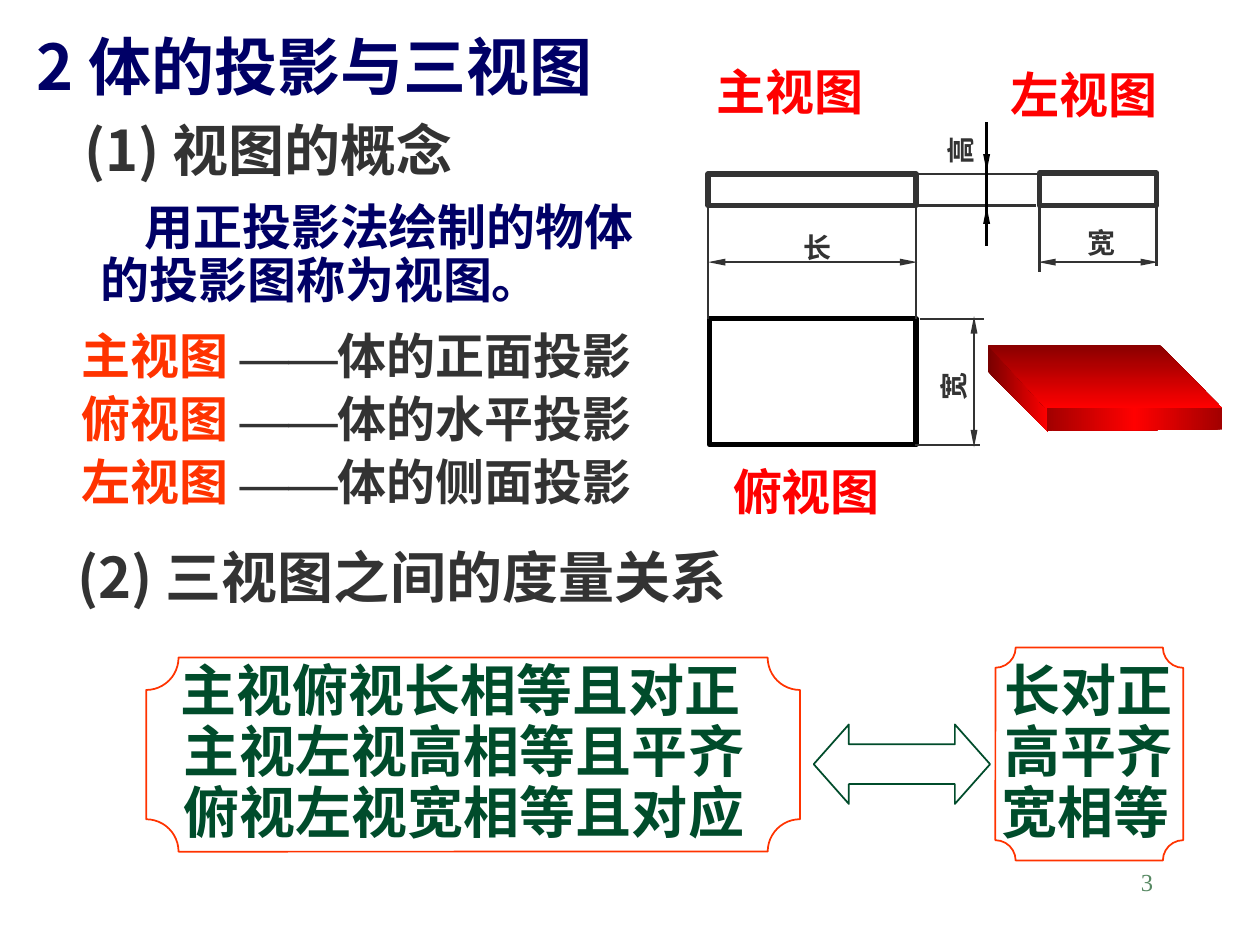
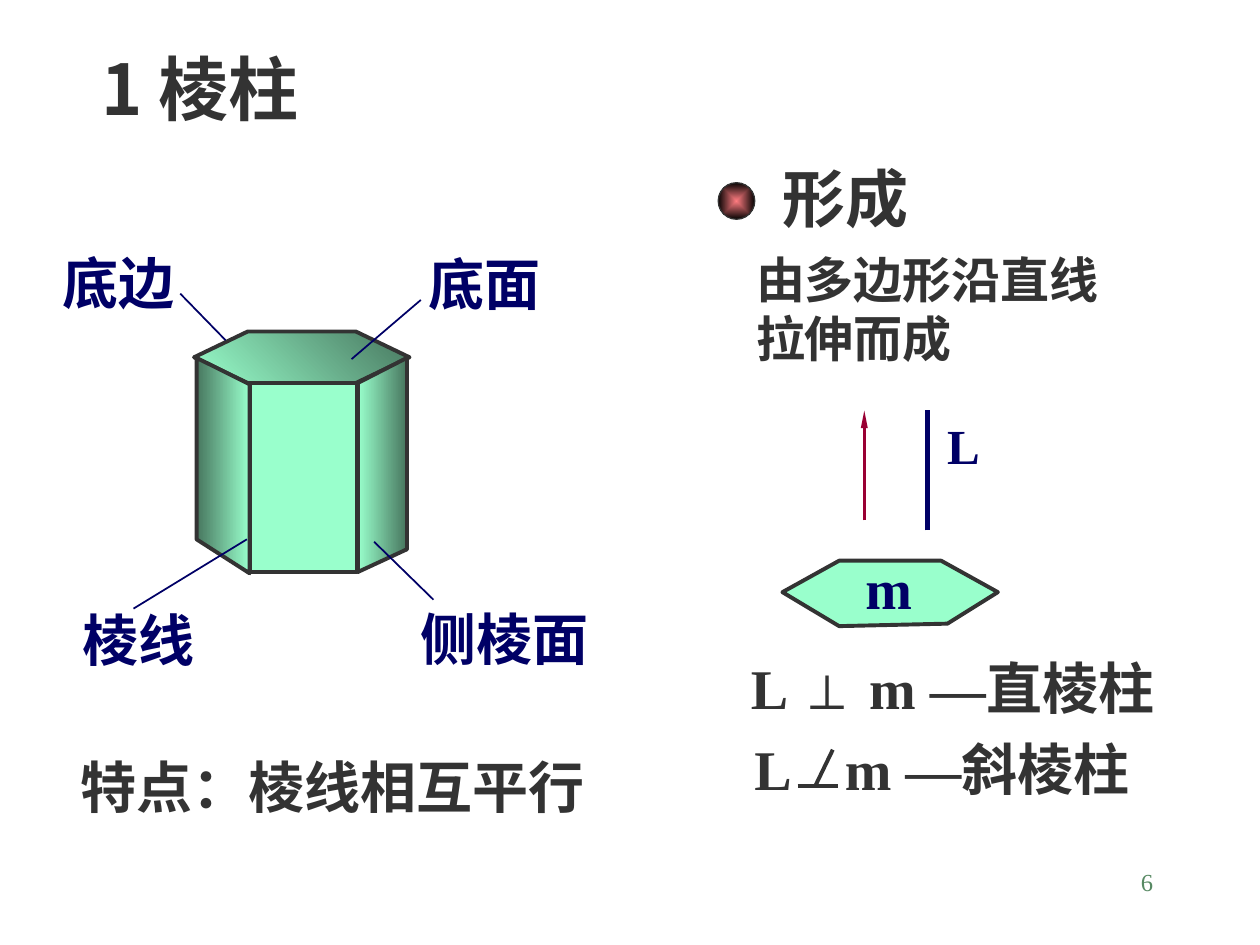
from lxml import etree
from pptx import Presentation
from pptx.dml.color import RGBColor
from pptx.enum.shapes import MSO_CONNECTOR, MSO_SHAPE
from pptx.enum.text import MSO_ANCHOR, MSO_AUTO_SIZE, PP_ALIGN
from pptx.oxml.ns import qn
from pptx.util import Pt

NAVY = RGBColor(0x00, 0x00, 0x66)
GRAY = RGBColor(0x33, 0x33, 0x33)
BLACK = RGBColor(0x00, 0x00, 0x00)
ORANGE = RGBColor(0xFF, 0x33, 0x00)
RED = RGBColor(0xFF, 0x00, 0x00)
GREEN = RGBColor(0x00, 0x4C, 0x2B)
MINT = RGBColor(0x99, 0xFF, 0xCC)
DARK_MINT = RGBColor(0x47, 0x76, 0x5E)
CRIMSON = RGBColor(0x99, 0x00, 0x33)
PAGE_GREEN = RGBColor(0x57, 0x89, 0x63)
PLATE_SIDE = RGBColor(0x78, 0x00, 0x00)
PLATE_FRONT = RGBColor(0xA2, 0x00, 0x00)
PLATE_TOP = RGBColor(0x8A, 0x00, 0x00)
BALL_CENTRE = RGBColor(0xFF, 0x7C, 0x80)
BALL_EDGE = RGBColor(0x06, 0x03, 0x03)

SANS, SERIF = "Noto Sans CJK SC", "Times New Roman"
RECT, PLAQUE = MSO_SHAPE.RECTANGLE, MSO_SHAPE.PLAQUE
DOUBLE_ARROW = MSO_SHAPE.LEFT_RIGHT_ARROW
HEXAGON, OVAL = MSO_SHAPE.HEXAGON, MSO_SHAPE.OVAL
STRAIGHT = MSO_CONNECTOR.STRAIGHT
TOP, MIDDLE = MSO_ANCHOR.TOP, MSO_ANCHOR.MIDDLE
LEFT, RIGHT = PP_ALIGN.LEFT, PP_ALIGN.RIGHT
NO_AUTOFIT = MSO_AUTO_SIZE.NONE
HEAD, TAIL = "headEnd", "tailEnd"
SLIM_ARROWHEAD = {"type": "triangle", "w": "sm", "len": "lg"}

# Rows of repeated text on the first slide
VIEWS = [("主视图", "体的正面投影"), ("俯视图", "体的水平投影"), ("左视图", "体的侧面投影")]
RULES = [
    ("主视俯视长相等且对正", 96, "长对正", 567),
    ("主视左视高相等且平齐", 98, "高平齐", 567),
    ("俯视左视宽相等且对应", 98, "宽相等", 565),
]
RULE_TOP, RULE_STEP = 371, 35

# Texts: text, left, top, width, size, colour, font, options
VIEW_TEXTS = [
    ("(1) 视图的概念", 41, 62.6, 277, 32, GRAY, SANS, {}),
    ("用正投影法绘制的物体的投影图称为视图。", 50.4, 112.3, 340.6, 28, NAVY, SANS,
     {"height": 67.7, "anchor": MIDDLE, "line_spacing": 0.9, "indent": 25}),
    ("(2) 三视图之间的度量关系", 37.4, 306.7, 438, 32, GRAY, SANS, {}),
    ("主视图", 402.5, 31.7, 120, 28, RED, SERIF, {}),
    ("俯视图", 411.8, 260, 110, 28, RED, SERIF, {}),
    ("左视图", 570.2, 33.1, 114, 28, RED, SERIF, {}),
    ("长", 452.2, 128.2, 45, 16, GRAY, SERIF, {}),
    ("宽", 614.2, 125.3, 45, 16, GRAY, SERIF, {}),
    ("宽", 519.1, 196.6, 51.8, 16, GRAY, SERIF, {"rotation": 270}),
    ("高", 526.3, 65.5, 44.6, 16, GRAY, SERIF, {"rotation": 270}),
]
for row, (relation, relation_left, summary, summary_left) in enumerate(RULES):
    rule_top = RULE_TOP + row * RULE_STEP
    VIEW_TEXTS += [
        (relation, relation_left, rule_top, 355, 32, GREEN, SERIF, {}),
        (summary, summary_left, rule_top, 122, 32, GREEN, SERIF, {}),
    ]

# The drawn angle sign stands between the last two texts
PRISM_TEXTS = [
    ("侧棱面", 233.3, 342, 140, 32, NAVY, SERIF, {}),
    ("底面", 237.6, 139, 86.4, 32, NAVY, SERIF, {}),
    ("棱线", 40.3, 342.7, 105, 32, NAVY, SERIF, {}),
    ("底边", 28.8, 138.2, 86.4, 32, NAVY, SERIF, {}),
    ("特点：棱线相互平行", 38.9, 426.2, 335.5, 32, GRAY, SERIF, {}),
    ("形成", 440, 87.8, 143, 36, GRAY, SERIF, {}),
    ("L", 534.2, 234, 45, 28, NAVY, SERIF, {}),
    ("m", 487.4, 312.5, 60, 32, NAVY, SERIF, {}),
    ("L ⊥ m —直棱柱", 422, 370, 276.5, 32, GRAY, SERIF, {}),
    ("L", 424, 416.2, 45, 32, GRAY, SERIF, {}),
    ("m —斜棱柱", 475.7, 416.2, 216, 32, GRAY, SERIF, {}),
]

# Presets: kind, (left, top, width, height), fill, line colour, line width, adjustments
# A gradient fill is (colours, angle); the angle None means from the centre.
VIEW_PRESETS = [
    (RECT, (404.6, 99.4, 118.8, 18), None, GRAY, 3, []),
    (RECT, (594, 98.9, 67, 18.5), None, GRAY, 3, []),
    (RECT, (405.4, 182.2, 118, 72), None, BLACK, 3, []),
    (PLAQUE, (83.5, 375.8, 373.7, 110.9), None, ORANGE, 1, [0.167]),
    (PLAQUE, (568.8, 370, 107.3, 121.7), None, ORANGE, 1, [0.108]),
    (DOUBLE_ARROW, (465, 414, 100.8, 45.4), None, GREEN, 1, [0.5, 0.443]),
]
PRISM_PRESETS = [
    (HEXAGON, (110.9, 189.4, 123.1, 29.5), ([MINT, DARK_MINT], 315), GRAY, 2.25, [1.041]),
    (RECT, (142.6, 218.9, 61.2, 108), MINT, GRAY, 2.25, []),
    (OVAL, (410.4, 104.4, 20.9, 20.9), ([BALL_CENTRE, BALL_EDGE], None), GRAY, 0.75, []),
]

# Polygons: corners, fill, line colour, line width
VIEW_POLYGONS = [
    ([(564.5, 197.3), (564.5, 212.4), (599, 247), (599, 231.1)],
     ([PLATE_SIDE, RED], 0), None, 0),
    ([(598.3, 231.8), (698.4, 232.6), (698.4, 245.5), (598.3, 246.2)],
     ([PLATE_FRONT, RED, PLATE_FRONT], 0), None, 0),
    ([(564.5, 197.3), (663.1, 197.3), (698.4, 233.3), (597.6, 233.3)],
     ([PLATE_TOP, RED], 90), None, 0),
]
PRISM_POLYGONS = [
    ([(204.5, 218.9), (204.5, 326.9), (232.6, 313.9), (232.6, 204.5)],
     ([MINT, DARK_MINT], 0), GRAY, 2.25),
    ([(112.3, 204.5), (142.6, 219.6), (142.6, 327.6), (112.3, 308.2)],
     ([DARK_MINT, MINT], 0), GRAY, 2.25),
    ([(479.5, 320.4), (537.8, 320.4), (570.2, 338.4), (541.4, 356.4),
      (479.5, 357.8), (447.1, 338.4)], MINT, GRAY, 2.25),
]

# Lines: colour, width, arrowheads, [(x1, y1, x2, y2), ...]
VIEW_LINES = [
    (GRAY, 1.5, [], [
        (404.6, 118, 404.6, 182.2), (523.4, 115, 523.4, 182.2),
        (525.6, 182.2, 562.3, 182.2), (522.7, 254.2, 560.2, 254.2),
        (594, 116.6, 594, 155.5), (661, 116, 661, 152),
        (520, 117.4, 591.8, 117.4), (522.7, 99.4, 592.6, 99.4)]),
    (GRAY, 1.5, [HEAD, TAIL], [
        (404.6, 149.8, 524.2, 149.8), (556.6, 180.7, 556.6, 255.6),
        (593.3, 149.8, 661.7, 149.8)]),
    (BLACK, 1.5, [], [(563.8, 69.8, 563.8, 140.4)]),
    (BLACK, 1.5, [TAIL], [(563.8, 127.4, 563.8, 118), (563.8, 86.4, 563.8, 98)]),
]
PRISM_LINES = [
    (CRIMSON, 1.5, [TAIL], [(493.9, 297.4, 493.9, 234.7)]),
    (NAVY, 3, [], [(529.9, 303.1, 529.9, 234)]),
    (GRAY, 2.25, [], [(475.9, 428.4, 465.8, 449.3), (455.8, 449.3, 478.8, 449.3)]),
    (NAVY, 1, [], [
        (240.5, 171.4, 200.9, 205.2), (247.7, 342.7, 213.8, 309.6),
        (141.1, 308.2, 76.3, 347.8), (103, 167.8, 128.9, 194.4)]),
]

SLIDES = [
    {"title": ("2 体的投影与三视图", 13.7, 12.2, 404, 36, NAVY),
     "body": [[(name + " ", ORANGE, SANS), ("——", GRAY, SERIF), (meaning, GRAY, SANS)]
              for name, meaning in VIEWS],
     "body_box": (39.6, 182.4, 355.7, 120), "body_gap": 2.5, "page": "3",
     "presets": VIEW_PRESETS, "polygons": VIEW_POLYGONS,
     "lines": VIEW_LINES, "texts": VIEW_TEXTS},
    {"title": ("1 棱柱", 51, 22.3, 173.5, 40, GRAY),
     "body": [[(line, GRAY, SERIF)] for line in ("由多边形沿直线", "拉伸而成")],
     "body_box": (424.8, 139, 239, 74.2), "body_gap": 0, "page": "6",
     "presets": PRISM_PRESETS, "polygons": PRISM_POLYGONS,
     "lines": PRISM_LINES, "texts": PRISM_TEXTS},
]


def points(values):
    return [Pt(value) for value in values]


def apply(target, values):
    for name, value in values.items():
        setattr(target, name, value)


def add_run(paragraph, text, size, color, font, bold):
    run = paragraph.add_run()
    run.text = text
    apply(run.font, {"size": Pt(size), "bold": bold, "name": font})
    run.font.color.rgb = color
    # Dashes keep the serif face; other East Asian text uses the sans face
    east_asian = font if text == "——" else SANS
    etree.SubElement(run.font._element, qn("a:ea"), typeface=east_asian)


def write(shape, box, paragraphs, size, bold=True, gap=0, anchor=TOP,
          align=LEFT, line_spacing=1.0, indent=0):
    apply(shape, dict(zip(("left", "top", "width", "height"), points(box))))
    frame = shape.text_frame
    apply(frame, {"word_wrap": True, "auto_size": NO_AUTOFIT, "vertical_anchor": anchor})
    for index, runs in enumerate(paragraphs):
        paragraph = frame.add_paragraph() if index else frame.paragraphs[0]
        properties = paragraph._element.get_or_add_pPr()
        properties.set("marL", "0")
        properties.set("indent", str(Pt(indent)))
        etree.SubElement(properties, qn("a:buNone"))
        apply(paragraph, {"alignment": align, "line_spacing": line_spacing,
                          "space_before": Pt(gap if index else 0), "space_after": Pt(0)})
        for text, color, font in runs:
            add_run(paragraph, text, size, color, font, bold)


def add_text(slide, text, left, top, width, size, color, font, options):
    options = dict(options)
    height = options.pop("height", size * 1.2 + 7.2)
    rotation = options.pop("rotation", 0)
    box = (left, top, width, height)
    shape = slide.shapes.add_textbox(*points(box))
    shape.rotation = rotation
    write(shape, box, [[(text, color, font)]], size, **options)


def fill_gradient(shape, colors, angle):
    shape.fill.gradient()
    gradient = shape._element.spPr.find(qn("a:gradFill"))
    for child in list(gradient):
        gradient.remove(child)
    stops = etree.SubElement(gradient, qn("a:gsLst"))
    for index, color in enumerate(colors):
        position = 100000 * index // (len(colors) - 1)
        stop = etree.SubElement(stops, qn("a:gs"), pos=str(position))
        etree.SubElement(stop, qn("a:srgbClr"), val=str(color))
    if angle is None:
        radial = etree.SubElement(gradient, qn("a:path"), path="shape")
        centre = {side: "50000" for side in "ltrb"}
        etree.SubElement(radial, qn("a:fillToRect"), centre)
    else:
        etree.SubElement(gradient, qn("a:lin"), ang=str(angle * 60000), scaled="0")


def style(shape, fill, line_color, line_width):
    shape.shadow.inherit = False
    if fill is None:
        shape.fill.background()
    elif isinstance(fill, RGBColor):
        shape.fill.solid()
        shape.fill.fore_color.rgb = fill
    else:
        fill_gradient(shape, *fill)
    if line_color is None:
        shape.line.fill.background()
    else:
        shape.line.color.rgb = line_color
        shape.line.width = Pt(line_width)


def add_preset(slide, kind, box, fill, line_color, line_width, adjustments):
    shape = slide.shapes.add_shape(kind, *points(box))
    for index, value in enumerate(adjustments):
        shape.adjustments[index] = value
    style(shape, fill, line_color, line_width)


def add_polygon(slide, corners, fill, line_color, line_width):
    start, *others = [points(corner) for corner in corners]
    builder = slide.shapes.build_freeform(*start)
    builder.add_line_segments(others, close=True)
    style(builder.convert_to_shape(), fill, line_color, line_width)


def add_lines(slide, color, width, arrowheads, segments):
    for segment in segments:
        connector = slide.shapes.add_connector(STRAIGHT, *points(segment))
        connector.line.color.rgb = color
        connector.line.width = Pt(width)
        properties = connector._element.spPr
        for end in arrowheads:
            etree.SubElement(properties.find(qn("a:ln")), qn("a:" + end), SLIM_ARROWHEAD)
        etree.SubElement(properties, qn("a:effectLst"))


def build_slide(presentation, content):
    slide = presentation.slides.add_slide(presentation.slide_layouts[1])
    # Title and list
    text, left, top, width, size, color = content["title"]
    write(slide.shapes.title, (left, top, width, size * 1.2 + 7.2),
          [[(text, color, SANS)]], size)
    write(slide.placeholders[1], content["body_box"], content["body"], 28,
          gap=content["body_gap"])
    # Drawing, then its labels
    for add, key in ((add_preset, "presets"), (add_polygon, "polygons"),
                     (add_lines, "lines"), (add_text, "texts")):
        for item in content[key]:
            add(slide, *item)
    # Page number
    add_text(slide, content["page"], 516.2, 492, 149.8, 14, PAGE_GREEN, SERIF,
             {"align": RIGHT, "bold": False})


def main():
    presentation = Presentation()
    apply(presentation, {"slide_width": Pt(720), "slide_height": Pt(540)})
    for content in SLIDES:
        build_slide(presentation, content)
    presentation.save("out.pptx")


if __name__ == "__main__":
    main()
